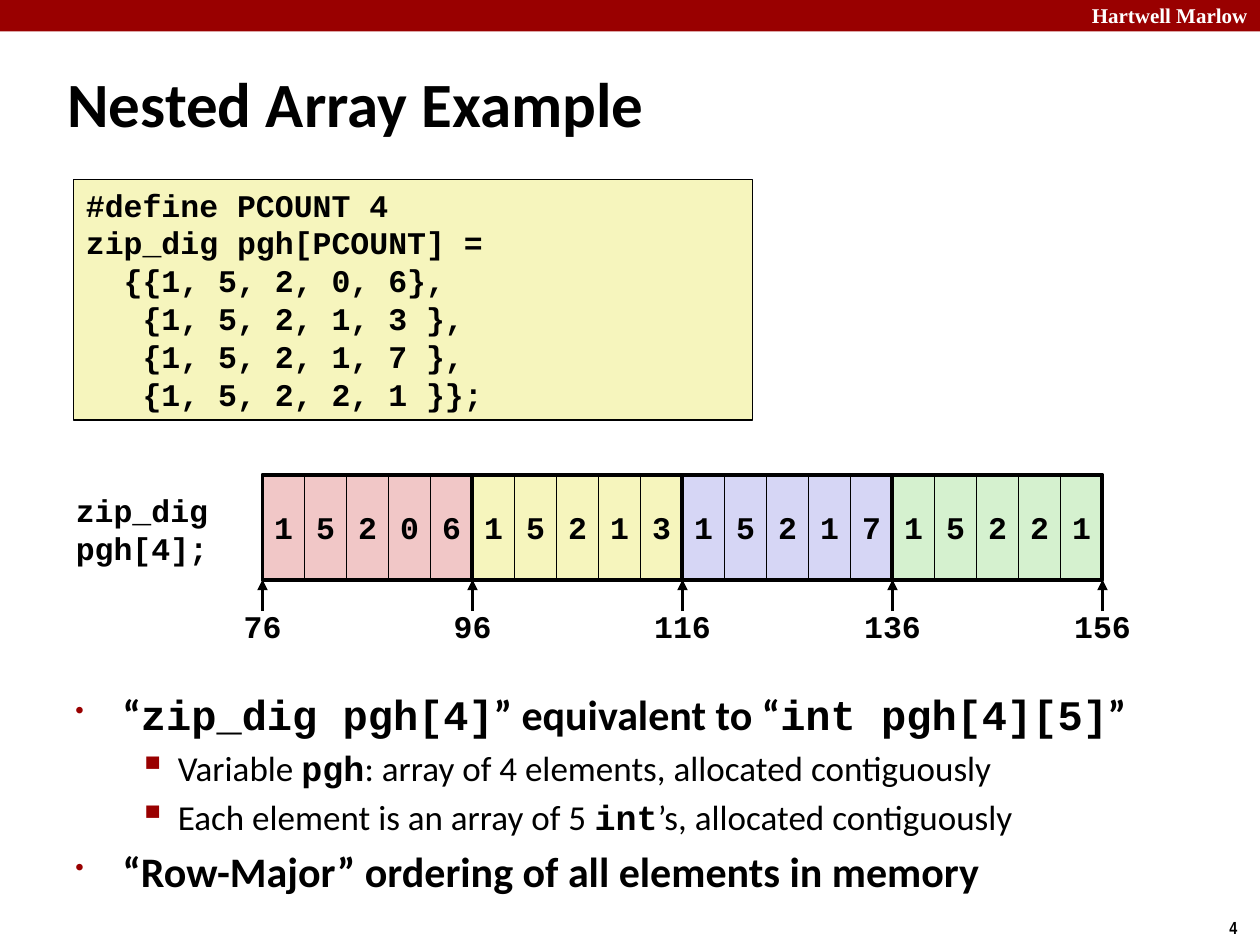
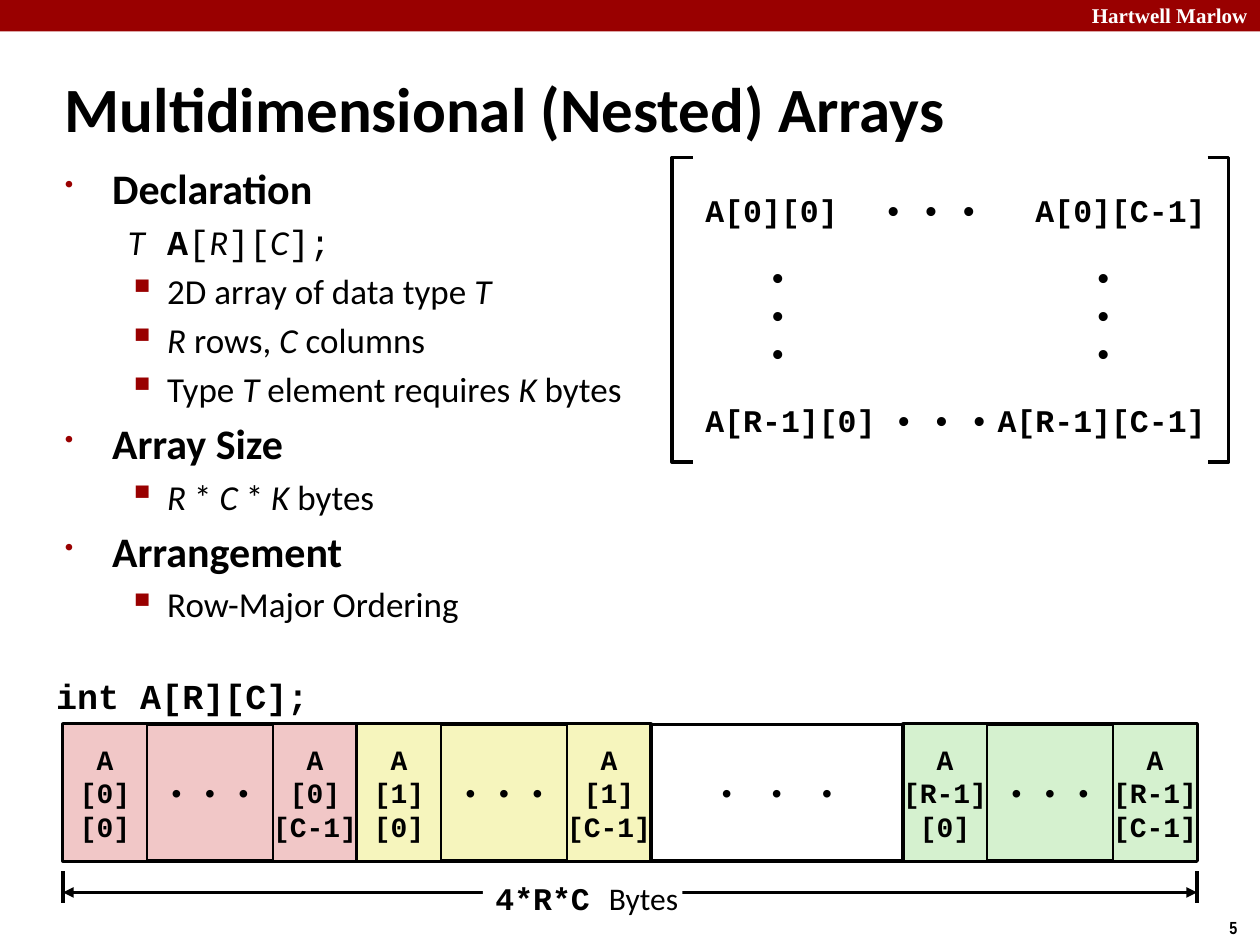
from lxml import etree
from pptx import Presentation
from pptx.dml.color import RGBColor
from pptx.enum.shapes import MSO_CONNECTOR, MSO_SHAPE
from pptx.enum.text import MSO_ANCHOR, PP_ALIGN
from pptx.oxml.ns import qn
from pptx.util import Pt

COLORS = {
    "black": "000000", "white": "FFFFFF", "crimson": "990000", "pink": "F1C7C7",
    "yellow": "F6F5BD", "lilac": "D6D6F5", "green": "D5F1CF",
}
SANS, MONO = "Calibri", "Courier New"
LEFT, CENTER, RIGHT = PP_ALIGN.LEFT, PP_ALIGN.CENTER, PP_ALIGN.RIGHT
TOP, MIDDLE = MSO_ANCHOR.TOP, MSO_ANCHOR.MIDDLE
DOTS = "• • •"


def add_box(slide, box, paragraphs=(), size=18, font=MONO, bold=True, color="black",
            align=LEFT, anchor=MIDDLE, wrap=False, fill=None, line=None):
    """Add a rectangle. A paragraph is a string or a list of (text, flags),
    where the flags are m = monospaced, b = bold, i = italic."""
    shape = slide.shapes.add_shape(MSO_SHAPE.RECTANGLE, *[Pt(v) for v in box])
    shape.shadow.inherit = False
    if fill:
        shape.fill.solid()
        shape.fill.fore_color.rgb = RGBColor.from_string(COLORS[fill])
    else:
        shape.fill.background()
    if line:
        shape.line.color.rgb = RGBColor.from_string(COLORS["black"])
        shape.line.width = Pt(line)
    else:
        shape.line.fill.background()
    frame = shape.text_frame
    frame.word_wrap = wrap
    frame.vertical_anchor = anchor
    for i, content in enumerate(paragraphs):
        para = frame.paragraphs[0] if i == 0 else frame.add_paragraph()
        para.alignment = align
        plain = isinstance(content, str)
        for text, flags in [(content, "")] if plain else content:
            run = para.add_run()
            run.text = text
            run.font.size = Pt(size)
            run.font.name = font if plain else MONO if "m" in flags else SANS
            run.font.bold = bold if plain else "b" in flags
            run.font.italic = "i" in flags
            run.font.color.rgb = RGBColor.from_string(COLORS[color])
    return shape


def add_line(slide, x1, y1, x2, y2, ends=()):
    """Add a black line with a triangle at each end named (headEnd, tailEnd)."""
    line = slide.shapes.add_connector(MSO_CONNECTOR.STRAIGHT, Pt(x1), Pt(y1), Pt(x2), Pt(y2))
    line.line.color.rgb = RGBColor.from_string(COLORS["black"])
    line.line.width = Pt(2)
    outline = line.line._get_or_add_ln()
    for end in ends:
        etree.SubElement(outline, qn(f"a:{end}"), type="triangle")
    etree.SubElement(line._element.spPr, qn("a:effectLst"))


prs = Presentation()
prs.slide_width, prs.slide_height = Pt(720), Pt(540)

# Titles and outlines: (level, bulleted, runs)
PAGES = [
    dict(number="4", title="Nested Array Example", title_box=(31.5, 36, 502, 45),
         body_box=(36, 390, 630, 150), body=[
             (0, True, [("“", "b"), ("zip_dig pgh[4]", "mb"), ("” equivalent to “", "b"),
                        ("int pgh[4][5]", "mb"), ("”", "b")]),
             (1, True, [("Variable ", ""), ("pgh", "mb"),
                        (": array of 4 elements, allocated contiguously", "")]),
             (1, True, [("Each element is an array of 5 ", ""), ("int", "mb"),
                        ("’s, allocated contiguously", "")]),
             (0, True, [("“Row-Major” ordering of all elements in memory", "b")]),
         ]),
    dict(number="5", title="Multidimensional (Nested) Arrays", title_box=(30, 39, 636, 45),
         body_box=(30, 89.5, 349, 265), body=[
             (0, True, [("Declaration", "b")]),
             (1, False, [("T\t", "i"), ("A", "mb"), ("[", "m"), ("R", "i"), ("][", "m"),
                         ("C", "i"), ("];", "m")]),
             (1, True, [("2D array of data type ", ""), ("T", "i")]),
             (1, True, [("R", "i"), (" rows, ", ""), ("C", "i"), (" columns", "")]),
             (1, True, [("Type ", ""), ("T", "i"), (" element requires ", ""), ("K", "i"),
                        (" bytes", "")]),
             (0, True, [("Array Size", "b")]),
             (1, True, [("R", "i"), (" * ", ""), ("C ", "i"), ("* ", ""), ("K ", "i"),
                        ("bytes", "")]),
             (0, True, [("Arrangement", "b")]),
             (1, True, [("Row-Major Ordering", "")]),
         ]),
]
# Per level: text size, left margin, hanging indent, bullet, bullet size in percent
LEVELS = [(24, 27, 27, "•", 60), (20, 58.5, 22.5, "▪", 110)]

slides = []
for page in PAGES:
    slide = prs.slides.add_slide(prs.slide_layouts[6])
    slides.append(slide)
    # Band, page number and title
    add_box(slide, (0, 0, 720, 18), fill="crimson")
    add_box(slide, (600, -2, 120, 21.5), ["Hartwell Marlow"], 12, "Times New Roman",
            color="white", align=RIGHT, anchor=TOP)
    add_box(slide, (695.5, 520.5, 24.5, 19.5), [page["number"]], 10, "Arial Narrow", anchor=TOP)
    add_box(slide, page["title_box"], [page["title"]], 36, SANS, wrap=True)

    # Outline with bullets
    body = add_box(slide, page["body_box"], [runs for _, _, runs in page["body"]],
                   anchor=TOP, wrap=True)
    for para, (level, bulleted, _) in zip(body.text_frame.paragraphs, page["body"]):
        size, margin, hanging, bullet, percent = LEVELS[level]
        para.level = level
        for run in para.runs:
            run.font.size = Pt(size)
        props = para._p.get_or_add_pPr()
        props.set("marL", str(Pt(margin)))
        props.set("indent", str(-Pt(hanging)))
        before = etree.SubElement(props, qn("a:spcBef"))
        etree.SubElement(before, qn("a:spcPct"), val="20000")
        if bulleted:
            color = etree.SubElement(props, qn("a:buClr"))
            etree.SubElement(color, qn("a:srgbClr"), val=COLORS["crimson"])
            etree.SubElement(props, qn("a:buSzPct"), val=str(percent * 1000))
            etree.SubElement(props, qn("a:buChar"), char=bullet)
        else:
            etree.SubElement(props, qn("a:buNone"))

nested, multi = slides

# Nested array: code, indented by whole characters
CHAR = 10.8
code = [(0, "#define PCOUNT 4"), (0, "zip_dig pgh[PCOUNT] ="), (2, "{{1, 5, 2, 0, 6},"),
        (3, "{1, 5, 2, 1, 3 },"), (3, "{1, 5, 2, 1, 7 },"), (3, "{1, 5, 2, 2, 1 }};")]
listing = add_box(nested, (42, 102.5, 388, 137.5), [text for _, text in code],
                  anchor=TOP, wrap=True, fill="yellow", line=1)
for para, (indent, _) in zip(listing.text_frame.paragraphs, code):
    para._p.get_or_add_pPr().set("marL", str(Pt(indent * CHAR)))

# Nested array: memory row with addresses
add_box(nested, (36, 277, 90, 50), ["zip_dig", "pgh[4];"], align=RIGHT, anchor=TOP)
CELL, ROW_LEFT, ROW_TOP, ROW_HEIGHT = 24, 150, 271.2, 60
ROW_BOTTOM = ROW_TOP + ROW_HEIGHT
ROW_WIDTH = 5 * CELL
zips = [("15206", "pink"), ("15213", "yellow"), ("15217", "lilac"), ("15221", "green")]
for i in range(len(zips) + 1):
    x = ROW_LEFT + i * ROW_WIDTH
    add_line(nested, x, ROW_BOTTOM + 18, x, ROW_BOTTOM, ["tailEnd"])
    add_box(nested, (x - 24, 343.5, 48, 29), [str(76 + 20 * i)], align=CENTER, anchor=TOP)
for i, (digits, fill) in enumerate(zips):
    x = ROW_LEFT + i * ROW_WIDTH
    for j, digit in enumerate(digits):
        add_box(nested, (x + j * CELL, ROW_TOP, CELL, ROW_HEIGHT), [digit],
                align=CENTER, fill=fill, line=1)
    add_box(nested, (x, ROW_TOP, ROW_WIDTH, ROW_HEIGHT), line=2.25)

# Multidimensional array: matrix
for y, row, dots_x in [(102, "0", 498), (222, "R-1", 504)]:
    add_box(multi, (396, y, 96, 36), [f"A[{row}][0]"], fill="white")
    add_box(multi, (dots_x, y, 72, 36), [DOTS], fill="white")
    add_box(multi, (600, y, 96, 36), [f"A[{row}][C-1]"], align=RIGHT, fill="white")
for x in (432, 618):
    add_box(multi, (x, 150, 36, 60), ["•"] * 3, fill="white")
for inner, outer in [(396, 384), (690, 702)]:
    builder = multi.shapes.build_freeform(Pt(inner), Pt(90))
    builder.add_line_segments([(Pt(outer), Pt(90)), (Pt(outer), Pt(264)),
                               (Pt(inner), Pt(264))], close=False)
    bracket = builder.convert_to_shape()
    bracket.shadow.inherit = False
    bracket.fill.background()
    bracket.line.color.rgb = RGBColor.from_string(COLORS["black"])
    bracket.line.width = Pt(2)

# Multidimensional array: memory row
add_box(multi, (25, 382, 158.5, 31), ["int A[R][C];"], 20, align=RIGHT, anchor=TOP)
TOP_Y, HEIGHT, BLOCK, ELEMENT = 414, 78, 168, 48
for x, row, fill in [(36, "0", "pink"), (204, "1", "yellow"), (516, "R-1", "green")]:
    add_box(multi, (x, TOP_Y, BLOCK, HEIGHT), [DOTS], 16, bold=False, align=CENTER,
            fill=fill, line=2.25)
    for cell_x, column in [(x, "0"), (x + BLOCK - ELEMENT, "C-1")]:
        add_box(multi, (cell_x, TOP_Y, ELEMENT, HEIGHT), ["A", f"[{row}]", f"[{column}]"],
                16, align=CENTER, fill=fill, line=1)
gap = add_box(multi, (372, TOP_Y, 144, HEIGHT), [DOTS], 16, bold=False, align=CENTER,
              fill="white", line=2)
gap.text_frame.paragraphs[0].runs[0]._r.get_or_add_rPr().set("spc", "480")

# Multidimensional array: total size
for x in (36, 684):
    add_line(multi, x, 498, x, 516)
add_line(multi, 36, 510, 684, 510, ["headEnd", "tailEnd"])
add_box(multi, (276, 498, 114, 30), [[("4*R*C ", "mb"), ("Bytes", "")]], fill="white")

prs.save("out.pptx")
